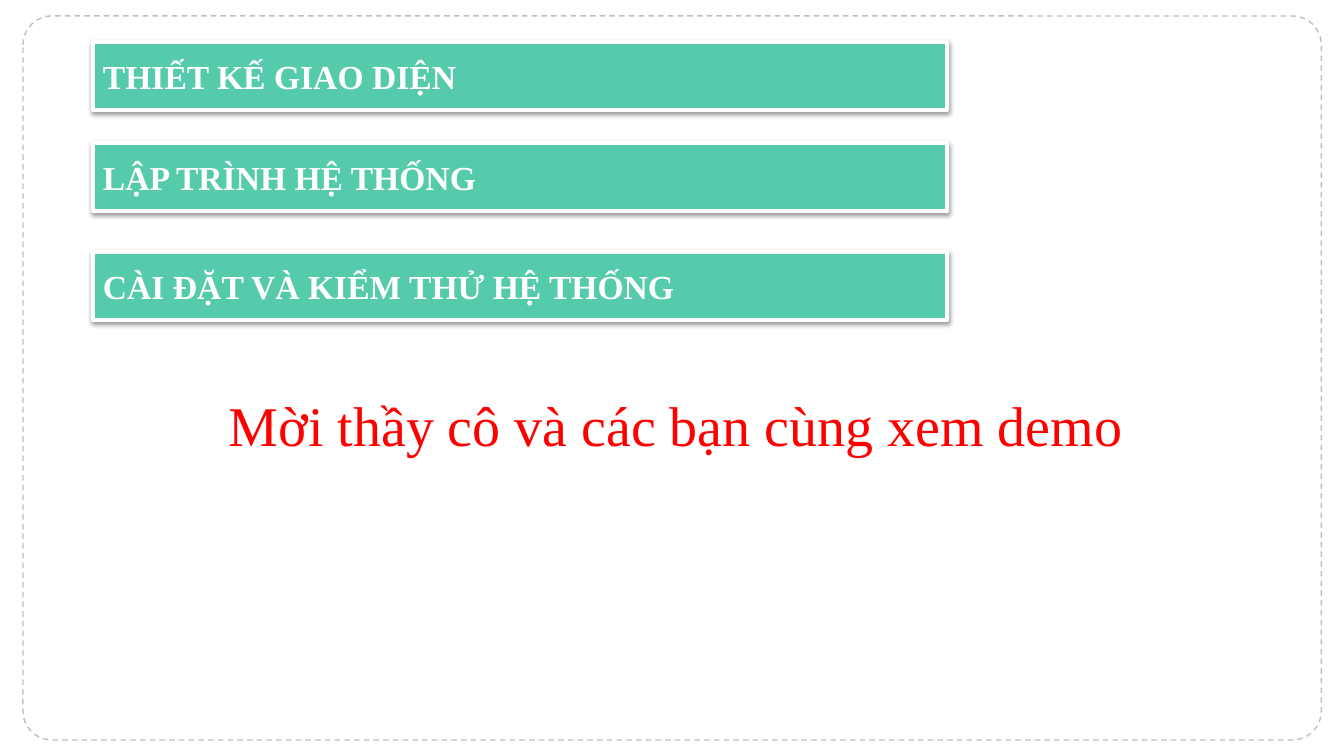
from lxml import etree
from pptx import Presentation, util as u
from pptx.dml.color import RGBColor
from pptx.enum import dml, shapes, text
from pptx.oxml.ns import qn

# Content: topic and its top edge
TOPICS = [
    ("THIẾT KẾ GIAO DIỆN", 42),
    ("LẬP TRÌNH HỆ THỐNG", 143),
    ("CÀI ĐẶT VÀ KIỂM THỬ HỆ THỐNG", 252),
]
INVITATION = "Mời thầy cô và các bạn cùng xem demo"

COLORS = {"frame": "BFBFBF", "bar": "55CBAC", "white": "FFFFFF",
          "invitation": "FF0000", "shadow": "000000"}
FONT = "Times New Roman"
FRAME_BOX = (23, 16, 1298, 724)
BAR_LEFT, BAR_WIDTH, BAR_HEIGHT = 93, 854, 68
INVITATION_BOX = (219, 386, 966, 78)
PIXEL = 914400 / 100.8


def emu(*pixels):
    return [round(p * PIXEL) for p in pixels]


def color(name):
    return RGBColor.from_string(COLORS[name])


def write(shape, words, size, color_name, bold=False):
    frame = shape.text_frame
    frame.word_wrap = True
    frame.text = words
    paragraph = frame.paragraphs[0]
    paragraph.alignment = text.PP_ALIGN.LEFT
    font = paragraph.runs[0].font
    font.name, font.size, font.bold = FONT, u.Pt(size), bold
    font.color.rgb = color(color_name)


def add_outline(kind, box, line_color, width):
    shape = slide.shapes.add_shape(kind, *emu(*box))
    shape.shadow.inherit = False
    shape.line.color.rgb = color(line_color)
    shape.line.width = u.Pt(width)
    return shape


def drop_shadow(shape):
    effects = shape.element.spPr.find(qn("a:effectLst"))
    outer = etree.SubElement(effects, qn("a:outerShdw"), blurRad="40000",
                             dist="20000", dir="5400000", rotWithShape="0")
    tint = etree.SubElement(outer, qn("a:srgbClr"), val=COLORS["shadow"])
    etree.SubElement(tint, qn("a:alpha"), val="38000")


deck = Presentation()
deck.slide_width, deck.slide_height = u.Inches(13.33), u.Inches(7.5)
slide = deck.slides.add_slide(deck.slide_layouts[6])

# Dashed frame
frame = add_outline(shapes.MSO_SHAPE.ROUNDED_RECTANGLE, FRAME_BOX, "frame", 1)
frame.adjustments[0] = 0.04
frame.fill.background()
frame.line.dash_style = dml.MSO_LINE.DASH

# Topic bars
for topic, top in TOPICS:
    bar = add_outline(shapes.MSO_SHAPE.FLOWCHART_PROCESS,
                      (BAR_LEFT, top, BAR_WIDTH, BAR_HEIGHT), "white", 3)
    bar.fill.solid()
    bar.fill.fore_color.rgb = color("bar")
    drop_shadow(bar)
    bar.text_frame.vertical_anchor = text.MSO_ANCHOR.MIDDLE
    write(bar, topic, 24, "white", bold=True)

# Invitation to the demo
invitation = slide.shapes.add_textbox(*emu(*INVITATION_BOX))
write(invitation, INVITATION, 40, "invitation")
invitation.text_frame.auto_size = text.MSO_AUTO_SIZE.SHAPE_TO_FIT_TEXT

deck.save("out.pptx")
